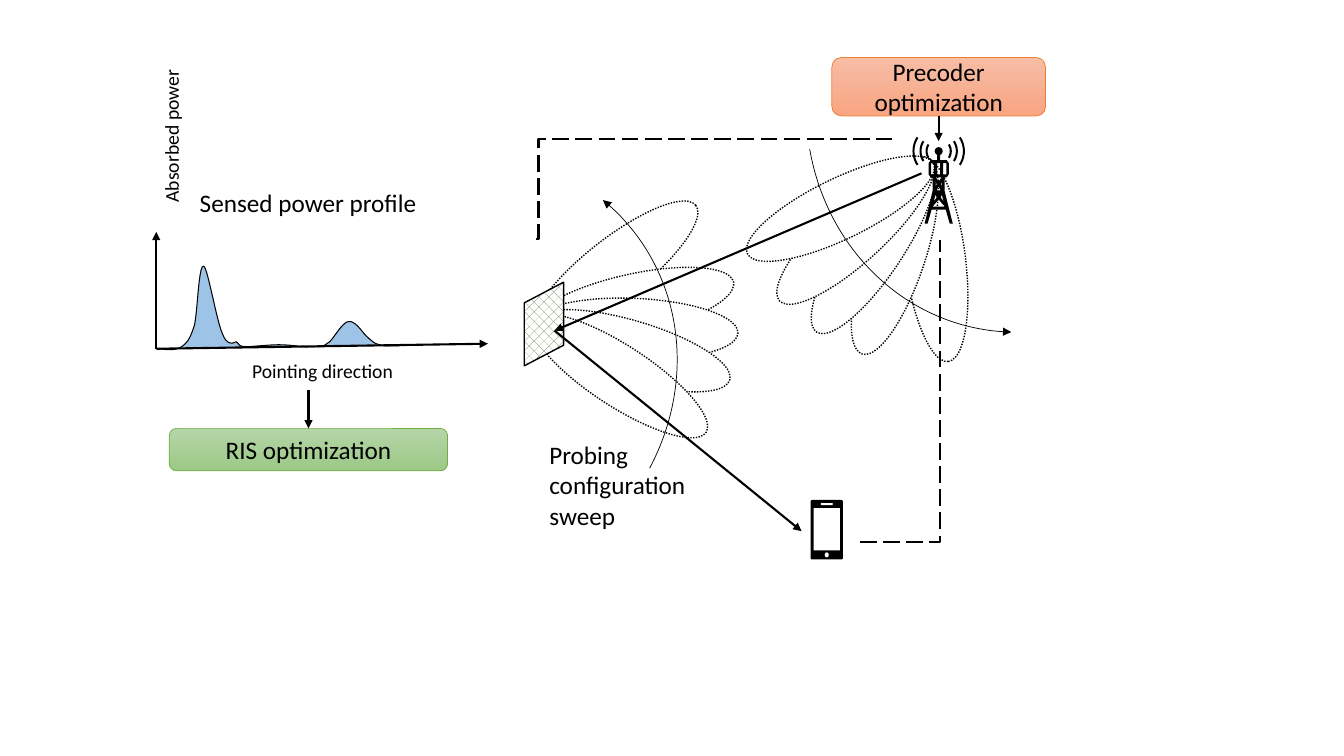
import math

import lxml.etree
import pptx
import pptx.dml.color
import pptx.enum.dml
import pptx.enum.shapes
import pptx.enum.text
import pptx.oxml.ns
import pptx.util

SHAPE = pptx.enum.shapes.MSO_SHAPE
DASH = pptx.enum.dml.MSO_LINE
COLUMNS, ROWS = 13.33, 7.5
BLACK, WHITE = "000000", "FFFFFF"


def color(value):
    return pptx.dml.color.RGBColor.from_string(value)


def cells(count):
    return pptx.util.Inches(count)


def add_element(parent, tag, **attributes):
    element = lxml.etree.SubElement(parent, pptx.oxml.ns.qn(tag))
    for name, value in attributes.items():
        element.set(name, value)
    return element


class Sketch:
    """Draws styled elements on one slide whose grid cells are one inch wide and high."""

    font = "Calibri"

    def __init__(self, slide):
        self.slide = slide

    def outline(self, shape, line, width, dash=None):
        if line is None:
            shape.line.fill.background()
            return
        shape.line.color.rgb = color(line)
        shape.line.width = pptx.util.Pt(width)
        if dash is not None:
            shape.line.dash_style = dash

    def paint(self, shape, fill):
        if fill is None:
            shape.fill.background()
        else:
            shape.fill.solid()
            shape.fill.fore_color.rgb = color(fill)

    def shape(self, kind, left, top, width, height, fill=None, line=None, weight=1,
              dash=None, rotation=0, adjustments=()):
        shape = self.slide.shapes.add_shape(kind, *map(cells, (left, top, width, height)))
        shape.shadow.inherit = False
        shape.rotation = rotation
        for index, value in enumerate(adjustments):
            shape.adjustments[index] = value
        self.paint(shape, fill)
        self.outline(shape, line, weight, dash)
        return shape

    def beams(self, lobes):
        for left, top, rotation in lobes:
            self.shape(SHAPE.OVAL, left, top, 2.05, 0.6, WHITE, BLACK, 1, DASH.ROUND_DOT, rotation)

    def sweep(self, left, top, rotation):
        arc = self.shape(SHAPE.ARC, left, top, 4.27, 4.61, line=BLACK, weight=0.5,
                         rotation=rotation, adjustments=(157.272, 201.933))
        add_element(arc._element.spPr.find(pptx.oxml.ns.qn("a:ln")), "a:headEnd", type="triangle")

    def surface(self, left, top, width, height):
        panel = self.shape(SHAPE.PARALLELOGRAM, left, top, width, height, WHITE, BLACK,
                           rotation=270, adjustments=(0.525,))
        panel.fill.patterned()
        panel.fill.pattern = pptx.enum.dml.MSO_PATTERN.PERCENT_30
        panel.fill.fore_color.rgb = color("548235")
        panel.fill.back_color.rgb = color(WHITE)
        panel._element.spPr.find(pptx.oxml.ns.qn("a:xfrm")).set("flipV", "1")

    def outlines(self, contours, fill, line=None, weight=1, closed=True):
        contours = [[(cells(x), cells(y)) for x, y in contour] for contour in contours]
        builder = self.slide.shapes.build_freeform(*contours[0][0], scale=1.0)
        for number, contour in enumerate(contours):
            if number:
                builder.move_to(*contour[0])
            builder.add_line_segments(contour[1:], close=closed)
        shape = builder.convert_to_shape()
        shape.shadow.inherit = False
        self.paint(shape, fill)
        self.outline(shape, line, weight)

    def set_text(self, shape, text, size, align):
        frame = shape.text_frame
        frame.word_wrap = True
        frame.text = text
        paragraph = frame.paragraphs[0]
        paragraph.alignment = align
        for run in paragraph.runs:
            run.font.name = self.font
            run.font.size = pptx.util.Pt(size)
            run.font.color.rgb = color(BLACK)

    def label(self, text, left, top, width, height, size=14, rotation=0,
              align=pptx.enum.text.PP_ALIGN.CENTER):
        box = self.slide.shapes.add_textbox(*map(cells, (left, top, width, height)))
        box.rotation = rotation
        self.set_text(box, text, size, align)

    def process(self, kind, text, left, top, width, height, shades, line):
        box = self.shape(kind, left, top, width, height, WHITE, line, 0.5)
        box.fill.gradient()
        box.fill.gradient_angle = 270
        for stop, shade in zip(box.fill.gradient_stops, shades):
            stop.color.rgb = color(shade)
        box.text_frame.vertical_anchor = pptx.enum.text.MSO_ANCHOR.MIDDLE
        self.set_text(box, text, 18, pptx.enum.text.PP_ALIGN.CENTER)
        return box

    def connector(self, kind, start, end, dash=None):
        connector = self.slide.shapes.add_connector(kind, *map(cells, (*start, *end)))
        self.outline(connector, BLACK, 1.5, dash)
        add_element(connector._element.spPr, "a:effectLst")
        return connector

    def arrow(self, start, end):
        arrow = self.connector(pptx.enum.shapes.MSO_CONNECTOR.STRAIGHT, start, end)
        add_element(arrow._element.spPr.find(pptx.oxml.ns.qn("a:ln")), "a:tailEnd", type="triangle")
        return arrow

    def dashed_elbow(self, start, end, bend):
        elbow = self.connector(pptx.enum.shapes.MSO_CONNECTOR.ELBOW, start, end, DASH.LONG_DASH)
        geometry = elbow._element.spPr.find(pptx.oxml.ns.qn("a:prstGeom"))
        guides = geometry.find(pptx.oxml.ns.qn("a:avLst"))
        if guides is None:
            guides = add_element(geometry, "a:avLst")
        add_element(guides, "a:gd", name="adj1", fmla=f"val {bend}")

    def phone(self, left, top):
        self.shape(SHAPE.ROUNDED_RECTANGLE, left, top, 0.32, 0.59, BLACK, adjustments=(0.05,))
        self.shape(SHAPE.RECTANGLE, left + 0.03, top + 0.08, 0.26, 0.42, WHITE)
        self.shape(SHAPE.ROUNDED_RECTANGLE, left + 0.1, top + 0.03, 0.12, 0.02, WHITE,
                   adjustments=(0.5,))
        self.shape(SHAPE.OVAL, left + 0.14, top + 0.52, 0.04, 0.05, WHITE)

    def tower(self, center, antenna):
        def ring(radius, start, end, steps=12):
            angles = [math.radians(start + (end - start) * step / steps) for step in range(steps + 1)]
            return [(center + radius * math.cos(a), antenna + radius * math.sin(a)) for a in angles]

        def place(points, side=1):
            return [(center + side * x, antenna + y) for x, y in points]

        half = [(0.015, 0.04), (0.015, 0.09), (0.08, 0.09), (0.1, 0.12), (0.1, 0.23),
                (0.08, 0.26), (0.06, 0.26), (0.06, 0.4), (0.14, 0.72), (0.11, 0.72), (0.07, 0.58)]
        contours = [place(half) + place(half, -1)[::-1], ring(0.04, 0, 360)]
        for x in (-0.06, 0, 0.06):
            contours.append(place([(x - 0.015, 0.12), (x + 0.015, 0.12),
                                   (x + 0.015, 0.23), (x - 0.015, 0.23)]))
        for apex, base, reach in ((0.48, 0.55, 0.06), (0.35, 0.39, 0.02), (0.3, 0.26, 0.03)):
            contours.append(place([(0, apex), (reach, base), (-reach, base)]))
        for side in (-1, 1):
            contours.append(place([(0.03, 0.43), (0.02, 0.46), (0.05, 0.5)], side))
            contours.append(place([(0.03, 0.3), (0.02, 0.33), (0.03, 0.35)], side))
        for radius in (0.13, 0.19, 0.26):
            for facing in (0, 180):
                start, end = facing - 33, facing + 33
                contours.append(ring(radius, start, end) + ring(radius - 0.02, end, start))
        self.outlines(contours, BLACK)

    def profile(self, knots, steps=10):
        curve = [knots[0]]
        for first in range(0, len(knots) - 1, 3):
            corners = knots[first:first + 4]
            for t in (step / steps for step in range(1, steps + 1)):
                weights = ((1 - t) ** 3, 3 * t * (1 - t) ** 2, 3 * t * t * (1 - t), t ** 3)
                curve.append(tuple(sum(w * v for w, v in zip(weights, axis))
                                   for axis in zip(*corners)))
        self.outlines([curve], "9DC3E6", BLACK, 0.75, closed=False)


def main():
    presentation = pptx.Presentation()
    presentation.slide_width, presentation.slide_height = cells(COLUMNS), cells(ROWS)
    sketch = Sketch(presentation.slides.add_slide(presentation.slide_layouts[6]))
    surface_center, origin = (5.5, 3.28), (1.55, 3.46)
    sketch.beams([(5.07, 2.37, 141.8), (5.25, 2.72, 347.5), (5.27, 2.96, 2.5),
                  (5.23, 3.18, 16.4), (5.12, 3.43, 33.1)])
    sketch.beams([(8.25, 2.27, 262.7), (7.85, 2.24, 108.5), (7.64, 2.14, 123.5),
                  (7.46, 1.99, 137.3), (7.31, 1.77, 154.1)])
    sketch.sweep(2.35, 1.43, 48.4)
    sketch.label("Probing configuration sweep", 5.35, 4.31, 2, 1.01, 18,
                 align=pptx.enum.text.PP_ALIGN.LEFT)
    sketch.surface(4.98, 3.02, 0.83, 0.39)
    sketch.phone(8.04, 4.96)
    sketch.tower(9.31, 1.5)
    sketch.dashed_elbow((8.53, 5.38), (9.32, 2.38), 100000)
    sketch.arrow(surface_center, (7.95, 5.27))
    precoder = sketch.process(SHAPE.FLOWCHART_ALTERNATE_PROCESS, "Precoder optimization",
                              8.25, 0.57, 2.12, 0.58, ("F7BDA5", "F8A582"), "ED7D31")
    sketch.arrow((9.31, 1.15), (9.31, 1.4)).begin_connect(precoder, 2)
    optimizer = sketch.process(SHAPE.ROUNDED_RECTANGLE, "RIS optimization",
                               1.68, 4.25, 2.76, 0.42, ("B5D5A7", "9CC987"), "70AD47")
    sketch.arrow(origin, (1.55, 2.3))
    sketch.profile([(1.57, 3.46), (1.66, 3.47), (1.74, 3.48), (1.8, 3.44), (1.86, 3.4),
                    (1.89, 3.35), (1.93, 3.22), (1.96, 3.08), (1.97, 2.62), (2.02, 2.64),
                    (2.06, 2.65), (2.15, 3.2), (2.21, 3.32), (2.26, 3.45), (2.34, 3.39),
                    (2.34, 3.39), (2.38, 3.41), (2.35, 3.43), (2.43, 3.44), (2.5, 3.44),
                    (2.66, 3.42), (2.77, 3.42), (2.89, 3.42), (3.04, 3.45), (3.12, 3.44),
                    (3.21, 3.44), (3.21, 3.43), (3.27, 3.39), (3.32, 3.34), (3.4, 3.19),
                    (3.46, 3.19), (3.53, 3.18), (3.6, 3.31), (3.65, 3.35), (3.7, 3.39),
                    (3.71, 3.41), (3.77, 3.42), (3.82, 3.44), (3.89, 3.43), (3.96, 3.43)])
    sketch.label("Pointing direction", 2.2, 3.51, 2, 0.34)
    sketch.label("Absorbed power", 0.94, 1.18, 1.52, 0.34, rotation=270)
    sketch.arrow(origin, (4.84, 3.41))
    sketch.label("Sensed power profile", 1.74, 1.81, 2.63, 0.4, 18)
    sketch.arrow((3.06, 3.87), (3.06, 4.25)).end_connect(optimizer, 0)
    sketch.dashed_elbow((5.32, 2.37), (8.85, 1.38), 600)
    sketch.sweep(8, -1.31, 190.5)
    sketch.arrow((9.14, 1.72), surface_center)
    presentation.save("out.pptx")


if __name__ == "__main__":
    main()
